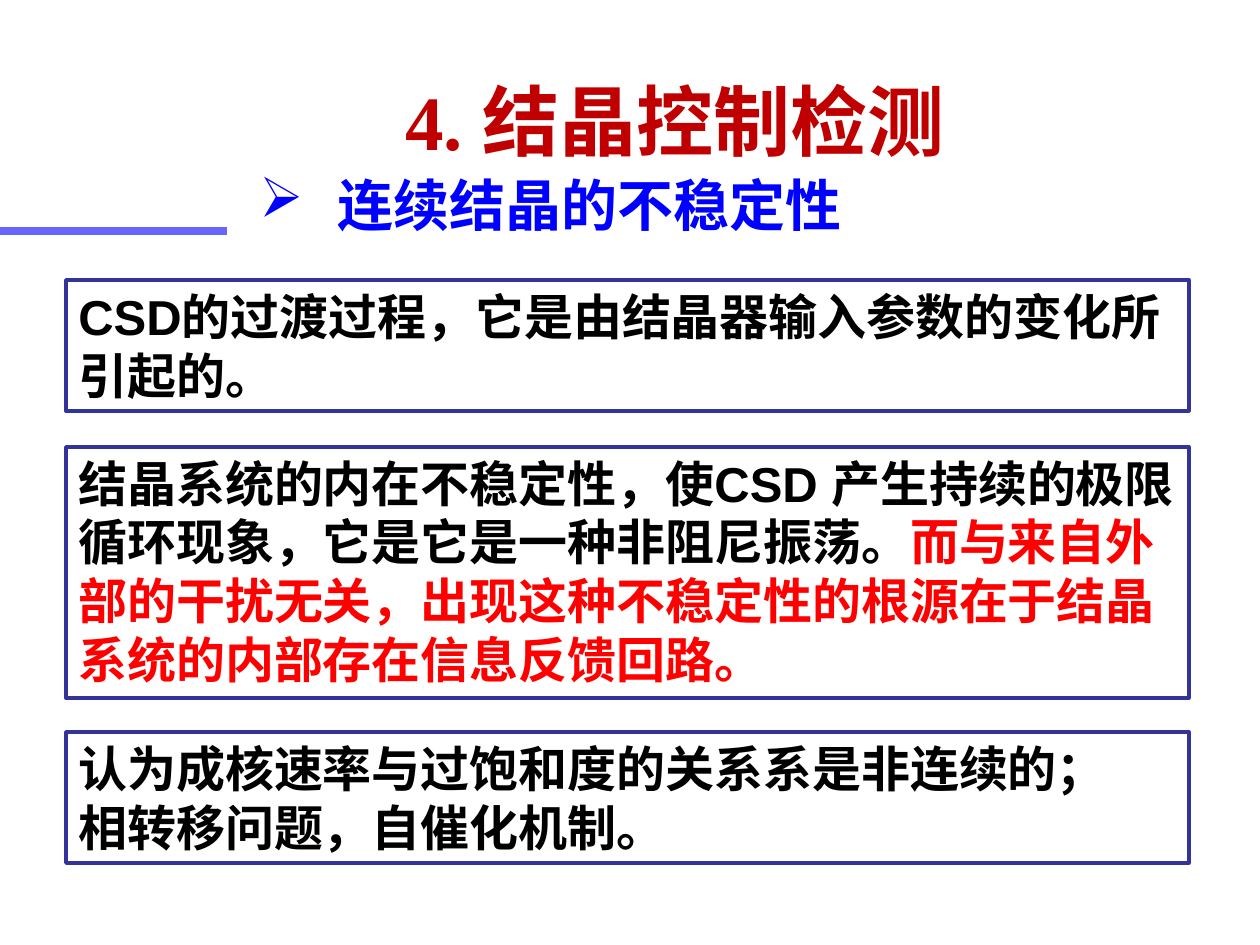
from lxml import etree
from pptx import Presentation
from pptx import util as u
from pptx.dml.color import RGBColor
from pptx.enum import shapes, text
from pptx.oxml.ns import qn

PX = 914400 // 126
WHITE = RGBColor(0xFF, 0xFF, 0xFF)
BLACK = RGBColor(0, 0, 0)
RED = RGBColor(0xFF, 0, 0)
CRIMSON = RGBColor(0xC0, 0, 0)
BLUE = RGBColor(0, 0, 0xFF)
NAVY = RGBColor(0x33, 0x33, 0x99)
VIOLET = RGBColor(0x66, 0x66, 0xFF)

HEAD = {"size": u.Pt(44), "name": "Times New Roman", "bold": True}
TOPIC = {"size": u.Pt(32), "name": "Arial", "bold": True}
BODY = {"size": u.Pt(28), "name": "Arial", "bold": True}

NOTES = [
    (280, 131, [[("CSD的过渡过程，它是由结晶器输入参数的变化所引起的。", BLACK)]]),
    (447, 251, [[
        ("结晶系统的内在不稳定性，使CSD 产生持续的极限循环现象，它是它是一种非阻尼振荡。", BLACK),
        ("而与来自外部的干扰无关，出现这种不稳定性的根源在于结晶系统的内部存在信息反馈回路。", RED),
    ]]),
    (732, 131, [
        [("认为成核速率与过饱和度的关系系是非连续的；", BLACK)],
        [("相转移问题，自催化机制。", BLACK)],
    ]),
]


def scale(*vals):
    return [u.Emu(val * PX) for val in vals]


def set_all(item, vals):
    for key, val in vals.items():
        setattr(item, key, val)


def add_run(para, words, style, color):
    run = para.add_run()
    run.text = words
    set_all(run.font, style)
    run.font.color.rgb = color


def set_frame(frame, anchor):
    set_all(frame, {"word_wrap": True, "vertical_anchor": anchor,
                    "auto_size": text.MSO_AUTO_SIZE.NONE})


def add_title(slide):
    title = slide.shapes.title
    spots = scale(247, 67, 837, 105)
    set_all(title, dict(zip(("left", "top", "width", "height"), spots)))
    set_frame(title.text_frame, text.MSO_ANCHOR.MIDDLE)
    para = title.text_frame.paragraphs[0]
    para.alignment = text.PP_ALIGN.CENTER
    add_run(para, " 4. 结晶控制检测", HEAD, CRIMSON)


def add_topic(slide):
    frame = slide.shapes.add_textbox(*scale(247, 160, 883, 89)).text_frame
    set_frame(frame, text.MSO_ANCHOR.MIDDLE)
    para = frame.paragraphs[0]
    props = para._p.get_or_add_pPr()
    indent = 78 * PX
    props.set("marL", str(indent))
    props.set("indent", str(-indent))
    etree.SubElement(props, qn("a:buChar")).set("char", "➢")
    add_run(para, "连续结晶的不稳定性", TOPIC, BLUE)


def add_rule(slide):
    rule = slide.shapes.add_connector(
        shapes.MSO_CONNECTOR.STRAIGHT, *scale(0, 231, 227, 231))
    rule.line.color.rgb = VIOLET
    rule.line.width = u.Pt(4.5)
    etree.SubElement(rule._element.spPr, qn("a:effectLst"))


def add_note(slide, top, height, paras):
    box = slide.shapes.add_shape(
        shapes.MSO_SHAPE.RECTANGLE, *scale(66, top, 1123, height))
    box.shadow.inherit = False
    box.fill.solid()
    box.fill.fore_color.rgb = WHITE
    box.line.color.rgb = NAVY
    box.line.width = u.Pt(2)
    frame = box.text_frame
    set_frame(frame, text.MSO_ANCHOR.TOP)
    for num, runs in enumerate(paras):
        para = frame.add_paragraph() if num else frame.paragraphs[0]
        para.alignment = text.PP_ALIGN.LEFT
        for words, color in runs:
            add_run(para, words, BODY, color)


def main():
    """Build the slide on the instability of continuous crystallization."""
    deck = Presentation()
    deck.slide_width, deck.slide_height = scale(1260, 945)
    slide = deck.slides.add_slide(deck.slide_layouts[5])
    add_rule(slide)
    for note in NOTES:
        add_note(slide, *note)
    add_title(slide)
    add_topic(slide)
    deck.save("out.pptx")


if __name__ == "__main__":
    main()
